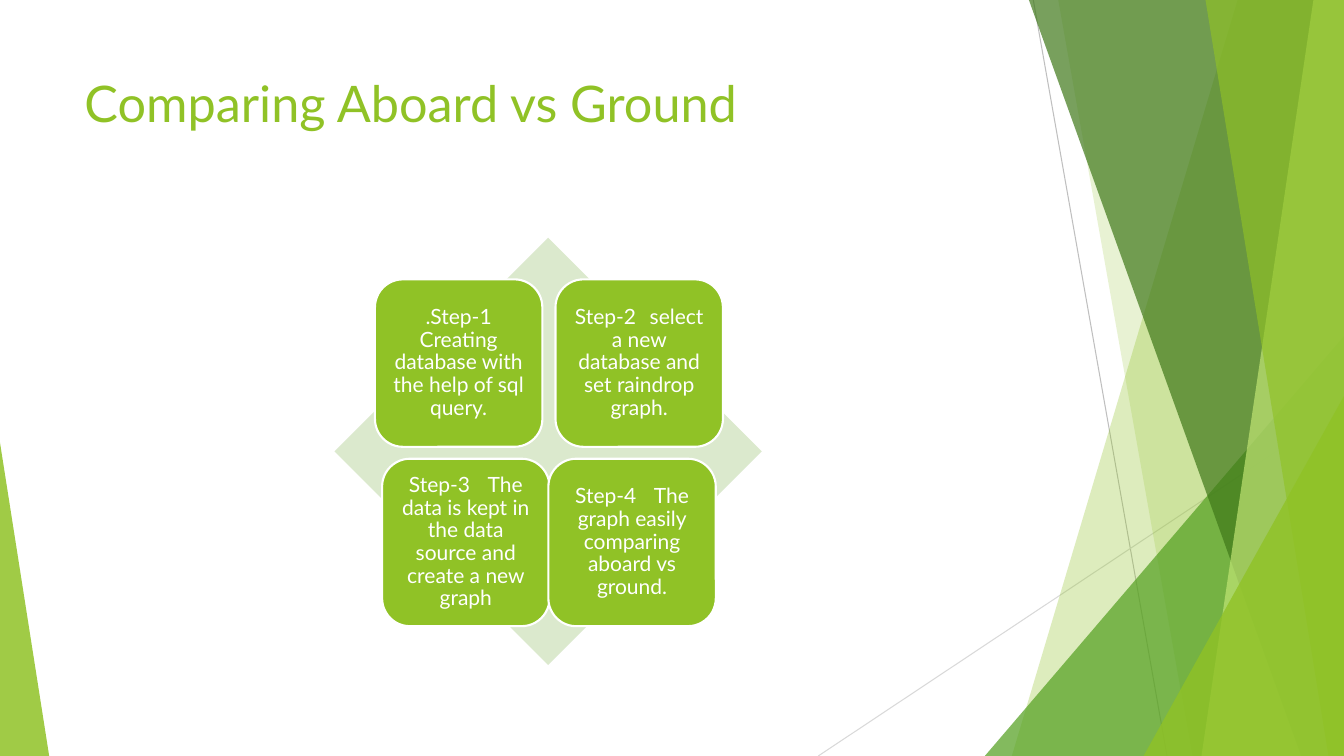
from lxml.etree import SubElement
from pptx import Presentation
from pptx.dml.color import RGBColor
from pptx.enum.shapes import MSO_CONNECTOR, MSO_SHAPE as SHAPE
from pptx.enum.text import MSO_ANCHOR as ANCHOR, PP_ALIGN as ALIGN
from pptx.oxml.ns import qn
from pptx.util import Cm, Pt

WIDTH, HEIGHT = 33.87, 19.05
FONT = "Lato"
COLORS = {
    "lime": "90C226", "green": "54A021", "forest": "3F7819", "pale": "C0E474",
    "diamond": "DBE9CD", "white": "FFFFFF", "grey": "BFBFBF", "silver": "D9D9D9",
}
BOX_SIZE = 4.22
SPACE_WIDTH = 290  # one 15 pt space, in hundredths of a point

# left, top, heading, extra spaces after the heading, body
STEPS = [
    (9.45, 7.04, ".Step-1", 3, "Creating database with the help of sql query."),
    (14, 7.04, "Step-2", 2, "select a new database and set raindrop graph."),
    (9.63, 11.56, "Step-3", 3,
     "The data is kept in the data source and create a new graph"),
    (13.82, 11.56, "Step-4", 3, "The graph easily comparing aboard vs ground."),
]


def rgb(name):
    return RGBColor.from_string(COLORS[name])


def paint(sp, color, opacity=100):
    """Give a shape a flat fill, without outline or shadow."""
    sp.shadow.inherit = False
    sp.fill.solid()
    sp.fill.fore_color.rgb = rgb(color)
    sp.line.fill.background()
    if opacity < 100:
        clr = sp.element.spPr.find(qn("a:solidFill")).find(qn("a:srgbClr"))
        SubElement(clr, qn("a:alpha"), val=str(opacity * 1000))


def add_line(s, x1, y1, x2, y2, color):
    line = s.shapes.add_connector(
        MSO_CONNECTOR.STRAIGHT, Cm(x1), Cm(y1), Cm(x2), Cm(y2))
    line.line.color.rgb = rgb(color)
    line.line.width = Pt(0.75)
    SubElement(line.element.spPr, qn("a:effectLst"))


def add_band(s, top_x, bottom_x, color, opacity):
    """Fill from a slanted left edge to the right edge of the slide."""
    builder = s.shapes.build_freeform(Cm(top_x), 0)
    corners = [(WIDTH, 0), (WIDTH, HEIGHT), (bottom_x, HEIGHT)]
    builder.add_line_segments([(Cm(x), Cm(y)) for x, y in corners])
    paint(builder.convert_to_shape(), color, opacity)


def add_corner(s, left, width, height, apex, color, opacity):
    """Stand a right triangle on the bottom edge of the slide."""
    sp = s.shapes.add_shape(SHAPE.ISOSCELES_TRIANGLE, Cm(left),
                            Cm(HEIGHT - height), Cm(width), Cm(height))
    sp.adjustments[0] = apex
    paint(sp, color, opacity)


def add_run(p, text, size, color):
    r = p.add_run()
    r.text = text
    for name, value in {"size": Pt(size), "name": FONT}.items():
        setattr(r.font, name, value)
    r.font.color.rgb = rgb(color)
    return r


def add_title(s, text):
    tf = s.shapes.add_textbox(Cm(1.88), Cm(1.7), Cm(23.88), Cm(3.66)).text_frame
    tf.word_wrap = True
    add_run(tf.paragraphs[0], text, 36, "lime")


def add_step(s, left, top, heading, extra_spaces, body):
    sp = s.shapes.add_shape(SHAPE.ROUNDED_RECTANGLE, Cm(left), Cm(top),
                            Cm(BOX_SIZE), Cm(BOX_SIZE))
    paint(sp, "lime")
    sp.line.color.rgb = rgb("white")
    sp.line.width = Pt(1.5)
    tf = sp.text_frame
    inset = Cm(0.15)
    frame = {"word_wrap": True, "vertical_anchor": ANCHOR.MIDDLE,
             "margin_left": inset, "margin_right": inset,
             "margin_top": inset, "margin_bottom": inset}
    for name, value in frame.items():
        setattr(tf, name, value)
    p = tf.paragraphs[0]
    p.alignment = ALIGN.CENTER
    p.line_spacing = 0.9
    add_run(p, heading, 15, "white")
    gap = add_run(p, " ", 15, "white")
    gap.font._element.set("spc", str(extra_spaces * SPACE_WIDTH))
    add_run(p, body, 15, "white")


def add_backdrop(s):
    add_line(s, 26.04, 0, 29.41, HEIGHT, "grey")
    add_line(s, WIDTH, 10.24, 20.62, HEIGHT, "silver")
    add_band(s, 31.19, 25.5, "lime", 30)
    add_band(s, 26.67, 30.05, "lime", 20)
    add_corner(s, WIDTH - 9.05, 9.05, 10.58, 1, "green", 72)
    add_band(s, 25.93, 32.79, "forest", 70)
    add_band(s, 33.1, 30.28, "pale", 70)
    add_band(s, 30.38, 33.48, "lime", 65)
    add_corner(s, WIDTH - 5.05, 5.05, 9.07, 1, "lime", 80)
    add_corner(s, 0, 1.24, 7.9, 0, "lime", 85)


def main():
    prs = Presentation()
    prs.slide_width, prs.slide_height = Cm(WIDTH), Cm(HEIGHT)
    s = prs.slides.add_slide(prs.slide_layouts[6])
    add_backdrop(s)
    add_title(s, "Comparing Aboard vs Ground")
    diamond = s.shapes.add_shape(SHAPE.DIAMOND, Cm(8.43), Cm(5.99),
                                 Cm(10.77), Cm(10.77))
    paint(diamond, "diamond")
    for step in STEPS:
        add_step(s, *step)
    prs.save("out.pptx")


if __name__ == "__main__":
    main()
